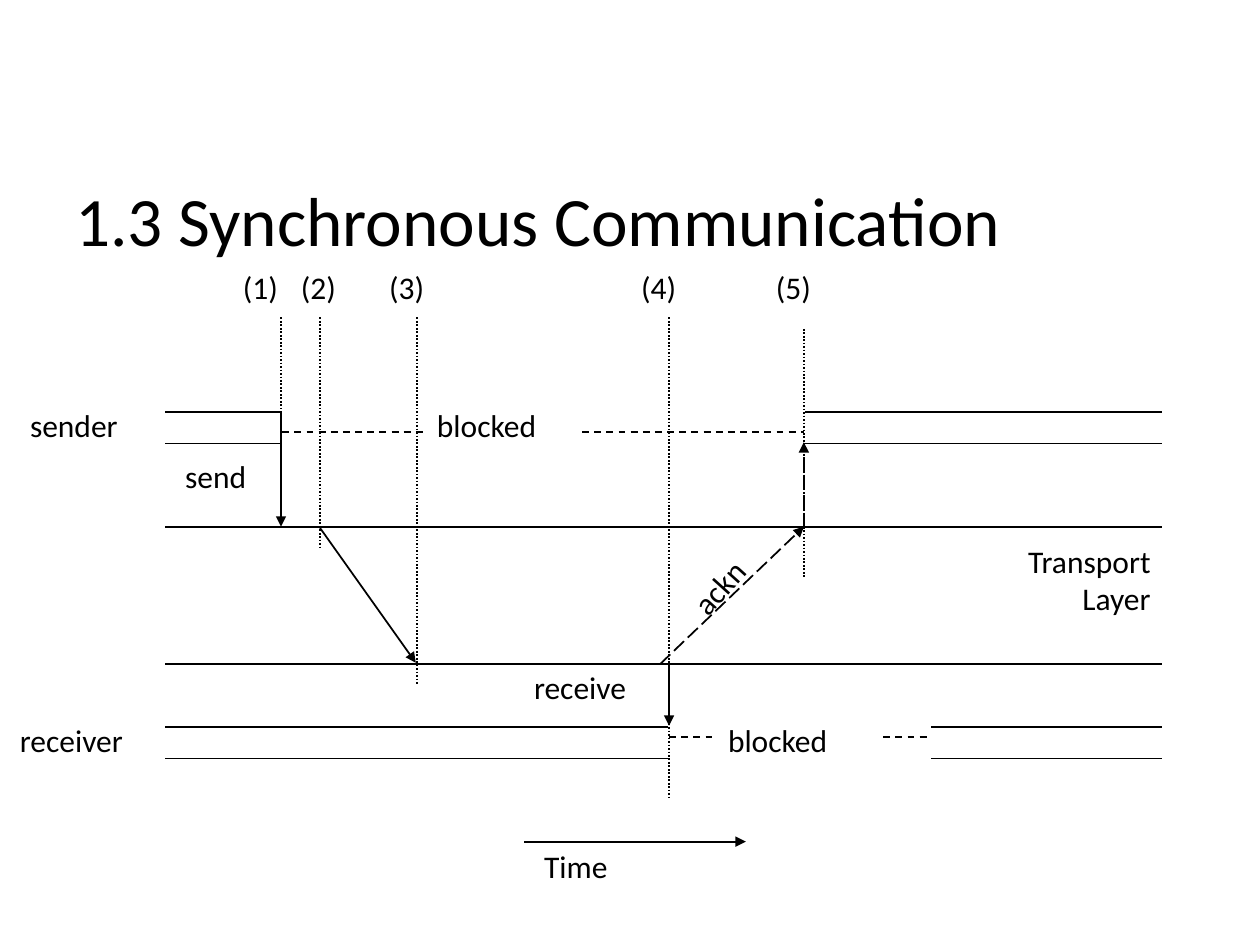
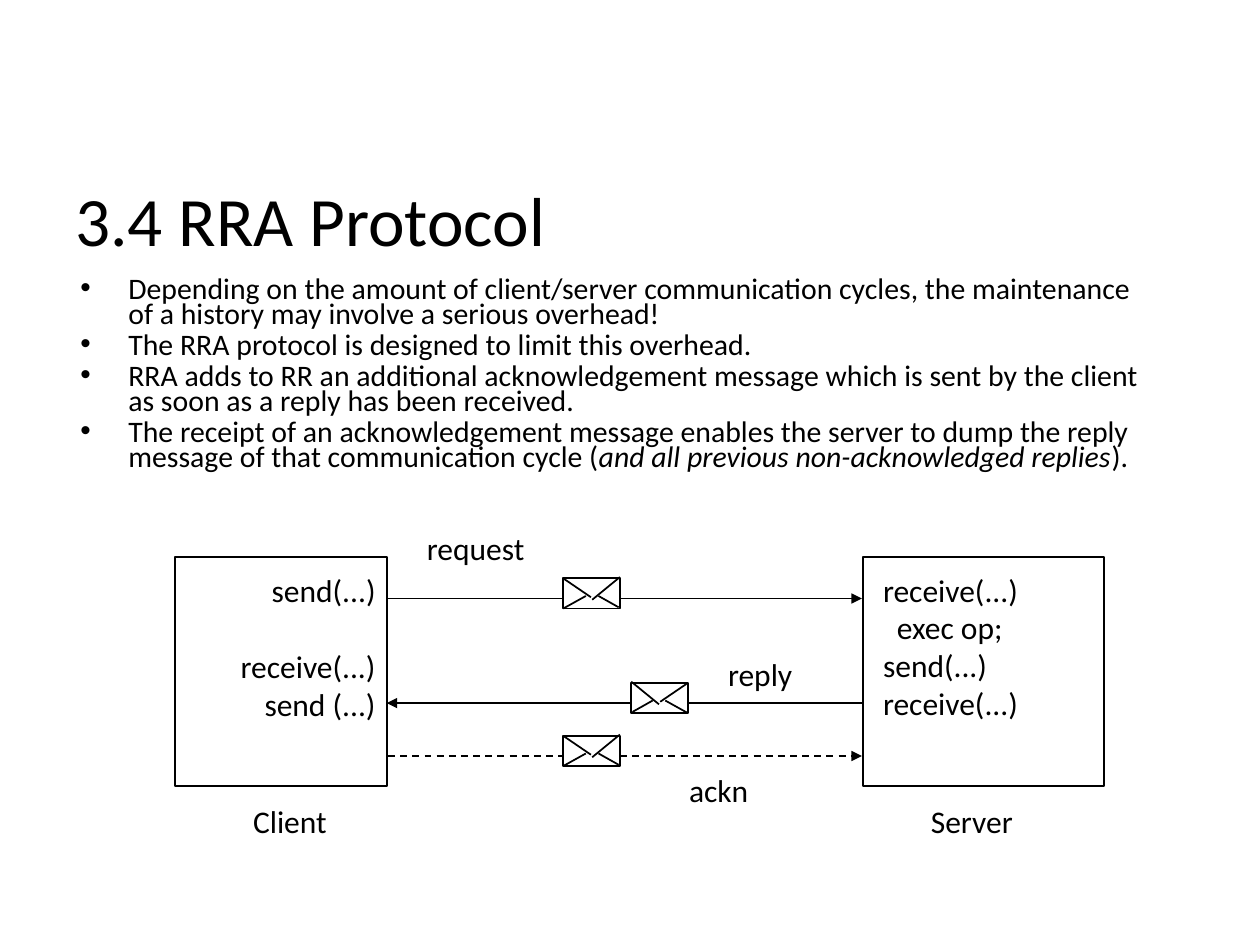
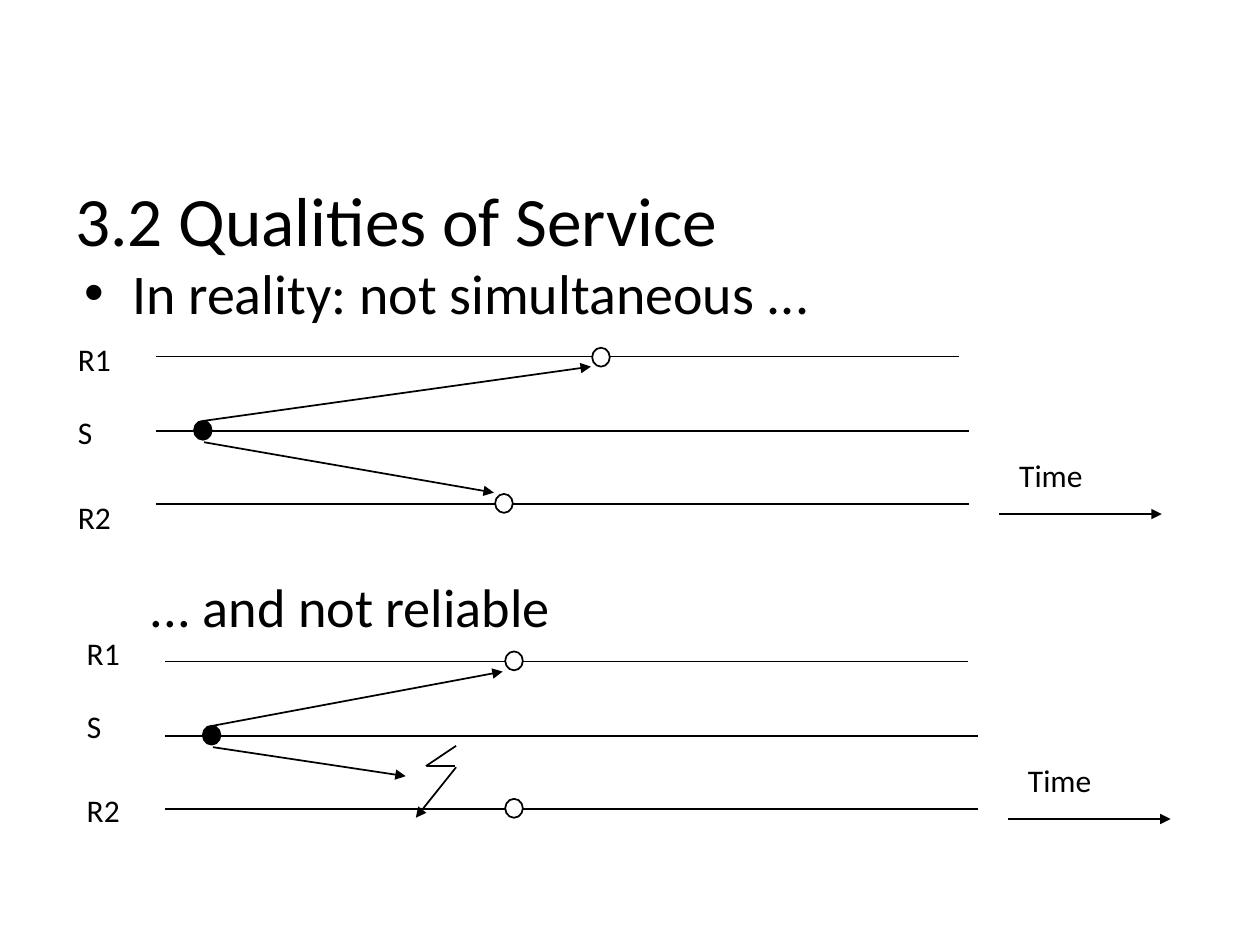
import pptx
import pptx.util
import pptx.dml.color
import pptx.enum.dml
import pptx.enum.shapes
import pptx.enum.text
import pptx.oxml

Inches = pptx.util.Inches
Pt = pptx.util.Pt
Dash = pptx.enum.dml.MSO_LINE
Shape = pptx.enum.shapes.MSO_SHAPE
Align = pptx.enum.text.PP_ALIGN
NAMESPACE = 'xmlns:a="http://schemas.openxmlformats.org/drawingml/2006/main"'

# Shared style
FONT = "Calibri"
BLACK, WHITE = "000000", "FFFFFF"
TITLE_SIZE, LABEL_SIZE = 39.6, 18
LABEL_HEIGHT = 0.4
BULLET_INDENT = 0.38

# Slide 1: text, left, top, width
SYNC_TITLE = "1.3 Synchronous Communication"
SYNC_LABELS = [
    ("sender", 0.14, 3.17, 0.9), ("receiver", 0.06, 5.67, 1.03),
    ("send", 1.37, 3.58, 0.69), ("receive", 4.14, 5.25, 0.94),
    ("blocked", 3.37, 3.17, 1), ("blocked", 5.68, 5.67, 1),
    ("Time", 4.22, 6.67, 0.71),
]
STEP_TOP, STEP_WIDTH = 2.08, 0.48
# label, label left, marker x, marker top, marker bottom
STEPS = [
    ("(1)", 1.83, 2.23, 2.52, 3.34), ("(2)", 2.29, 2.54, 2.52, 4.34),
    ("(3)", 2.99, 3.31, 2.52, 5.43), ("(4)", 4.99, 5.31, 2.52, 6.34),
    ("(5)", 6.06, 6.38, 2.61, 4.59),
]
LANE_LEFT, LANE_RIGHT = 1.31, 9.22
# edge heights, horizontal extents of the bars
BARS = [
    ((3.27, 3.52), ((LANE_LEFT, 2.22), (6.39, LANE_RIGHT))),
    ((5.77, 6.02), ((LANE_LEFT, 5.3), (7.39, LANE_RIGHT))),
    ((4.18, 5.27), ((LANE_LEFT, LANE_RIGHT),)),
]
# y, horizontal extents of the waiting periods
WAITS = [(3.43, ((2.24, 3.38), (4.62, 6.38))),
         (5.85, ((5.31, 5.69), (7.01, 7.38)))]
SYNC_ARROWS = [
    ((2.23, 3.27), (2.23, 4.18), None),
    ((2.54, 4.19), (3.3, 5.26), None),
    ((5.31, 5.27), (5.31, 5.76), None),
    ((5.24, 5.27), (6.38, 4.18), Dash.LONG_DASH),
    ((6.38, 4.19), (6.38, 3.51), Dash.LONG_DASH),
    ((4.16, 6.68), (5.92, 6.68), None),
]

# Slide 2: each bullet is a list of (text, italic) runs
RRA_TITLE = "3.4 RRA Protocol"
RRA_BULLETS = [
    [("Depending on the amount of client/server communication cycles, the "
      "maintenance of a history may involve a serious overhead!", False)],
    [("The RRA protocol is designed to limit this overhead.", False)],
    [("RRA adds to RR an additional acknowledgement message which is sent by "
      "the client as soon as a reply has been received.", False)],
    [("The receipt of an acknowledgement message enables the server to dump the "
      "reply message of that communication cycle (", False),
     ("and all previous non-acknowledged replies", True), (").", False)],
]
HOSTS = [(1.39, 4.42, 1.68, 1.82), (6.85, 4.42, 1.91, 1.82)]
CLIENT_CALLS = ["send(...)", "receive(...)", "send (...)"]
SERVER_CALLS = ["receive(...)", "exec op;", "send(...)", "receive(...)"]
RRA_LABELS = [
    ("Client", 1.91, 6.32, 0.79), ("Server", 7.29, 6.32, 0.86),
    ("request", 3.29, 4.15, 2.63), ("reply", 5.68, 5.15, 1.01),
    ("ackn", 5.37, 6.07, 1.01),
]
ENVELOPE_WIDTH, ENVELOPE_HEIGHT = 0.45, 0.24
ENVELOPE_FOLDS = [((0, 0), (0.22, 0.15)), ((0.23, 0.17), (0.45, -0.01)),
                  ((0.18, 0.14), (0, 0.24)), ((0.28, 0.14), (0.44, 0.23))]
# start x, end x, y, envelope left, dash
MESSAGES = [(3.08, 6.84, 4.75, 4.47, None),
            (6.85, 3.07, 5.58, 5.01, None),
            (3.08, 6.84, 6, 4.47, Dash.DASH)]

# Slide 3: positions inside a diagram count from the left end of its R1 line
QOS_TITLE = "3.2 Qualities of Service"
QOS_BULLET = "In reality: not simultaneous ..."
QOS_SECOND = "... and not reliable"
# label, line y, line length, label top, label width
LANES = [("R1", 0, 6.37, -0.18, 0.46), ("S", 0.59, 6.45, 0.4, 0.32),
         ("R2", 1.17, 6.45, 1.07, 0.46)]
DOT_WIDTH, DOT_HEIGHT = 0.14, 0.15
DIAGRAMS = [
    {"origin": (1.24, 2.83), "label_shift": 0,
     "receivers": [(3.46, -0.07), (2.69, 1.09)],
     "arrow_ends": [(3.45, 0.08), (2.68, 1.08)]},
    {"origin": (1.31, 5.25), "label_shift": -0.09,
     "receivers": [(2.7, -0.08), (2.7, 1.09)],
     "arrow_ends": [(2.68, 0.08), (1.91, 0.91)]},
]
LIGHTNING = [((3.62, 5.92), (3.38, 6.08), False),
             ((3.39, 6.08), (3.61, 6.08), False),
             ((3.62, 6.09), (3.3, 6.49), True)]


def color(value):
    return pptx.dml.color.RGBColor.from_string(value)


def add_drawing_element(parent, markup):
    parent.append(pptx.oxml.parse_xml(f"<a:{markup} {NAMESPACE}/>"))


def add_line(shapes, start, end, dash=None, arrow=False):
    connector = shapes.add_connector(
        pptx.enum.shapes.MSO_CONNECTOR.STRAIGHT,
        *(Inches(length) for length in (*start, *end)))
    connector.line.color.rgb = color(BLACK)
    connector.line.width = Pt(1)
    if dash:
        connector.line.dash_style = dash
    properties = connector._element.spPr
    if arrow:
        add_drawing_element(connector.line._get_or_add_ln(), 'tailEnd type="triangle"')
    add_drawing_element(properties, "effectLst")


def add_outline(shapes, kind, box, fill=None):
    shape = shapes.add_shape(kind, *(Inches(length) for length in box))
    shape.shadow.inherit = False
    shape.line.color.rgb = color(BLACK)
    shape.line.width = Pt(1)
    if fill:
        shape.fill.solid()
        shape.fill.fore_color.rgb = color(fill)
    else:
        shape.fill.background()


def add_text(slide, box, paragraphs, size=LABEL_SIZE, align=Align.LEFT, wrap=True):
    """Each paragraph is a string or a list of (text, italic) runs."""
    text_box = slide.shapes.add_textbox(*(Inches(length) for length in box))
    frame = text_box.text_frame
    frame.word_wrap = wrap
    for index, content in enumerate(paragraphs):
        paragraph = frame.paragraphs[0] if index == 0 else frame.add_paragraph()
        paragraph.alignment = align
        paragraph.font.name = FONT
        paragraph.font.size = Pt(size)
        paragraph.font.color.rgb = color(BLACK)
        runs = [(content, False)] if isinstance(content, str) else content
        for text, italic in runs:
            run = paragraph.add_run()
            run.text = text
            if italic:
                run.font.italic = True
    return text_box


def add_label(slide, text, left, top, width):
    return add_text(slide, (left, top, width, LABEL_HEIGHT), [text], wrap=False)


def indent(paragraph, left, first=0):
    properties = paragraph._p.get_or_add_pPr()
    properties.set("marL", str(Inches(left)))
    properties.set("indent", str(Inches(first)))
    return properties


def add_bullets(slide, box, paragraphs, size, line_spacing=1.0):
    text_box = add_text(slide, box, paragraphs, size)
    for paragraph in text_box.text_frame.paragraphs:
        paragraph.line_spacing = line_spacing
        paragraph.space_before = Pt(size * 0.2)
        properties = indent(paragraph, BULLET_INDENT, -BULLET_INDENT)
        add_drawing_element(properties, 'buFont typeface="Arial"')
        add_drawing_element(properties, 'buChar char="•"')


def add_titled_slide(presentation, title):
    slide = presentation.slides.add_slide(presentation.slide_layouts[6])
    text_box = add_text(slide, (0.5, 1.42, 9, 0.63), [title], TITLE_SIZE)
    text_box.text_frame.vertical_anchor = pptx.enum.text.MSO_ANCHOR.MIDDLE
    return slide


def build_synchronous(presentation):
    slide = add_titled_slide(presentation, SYNC_TITLE)
    shapes = slide.shapes
    for label in SYNC_LABELS:
        add_label(slide, *label)
    add_text(slide, (7.62, 4.25, 1.61, 0.7), ["Transport Layer"], align=Align.RIGHT)
    add_label(slide, "ackn", 5.37, 4.46, 0.67).rotation = 312
    # Process bars and transport layer
    for heights, extents in BARS:
        for y in heights:
            for left, right in extents:
                add_line(shapes, (left, y), (right, y))
    for y, extents in WAITS:
        for left, right in extents:
            add_line(shapes, (left, y), (right, y), Dash.DASH)
    # Numbered moments
    for text, left, x, top, bottom in STEPS:
        add_label(slide, text, left, STEP_TOP, STEP_WIDTH)
        add_line(shapes, (x, top), (x, bottom), Dash.ROUND_DOT)
    for start, end, dash in SYNC_ARROWS:
        add_line(shapes, start, end, dash, arrow=True)


def add_envelope(slide, left, top, mirrored):
    shapes = slide.shapes.add_group_shape().shapes
    add_outline(shapes, Shape.RECTANGLE, (left, top, ENVELOPE_WIDTH, ENVELOPE_HEIGHT))
    for fold in ENVELOPE_FOLDS:
        start, end = ((left + (ENVELOPE_WIDTH - x if mirrored else x), top + y)
                      for x, y in fold)
        add_line(shapes, start, end)


def build_rra(presentation):
    slide = add_titled_slide(presentation, RRA_TITLE)
    add_bullets(slide, (0.54, 2.17, 8.69, 1.75), RRA_BULLETS, 17, 0.7)
    # Client and server
    for box in HOSTS:
        add_outline(slide.shapes, Shape.RECTANGLE, box)
    client = add_text(slide, (1.8, 4.48, 1.28, 1.31), CLIENT_CALLS,
                      align=Align.RIGHT, wrap=False)
    client.text_frame.paragraphs[1].space_before = Pt(22)
    server = add_text(slide, (6.91, 4.48, 1.28, 1.31), SERVER_CALLS, wrap=False)
    indent(server.text_frame.paragraphs[1], 0.11)
    for text, left, top, width in RRA_LABELS:
        add_label(slide, text, left, top, width)
    # Messages, broken by their envelopes
    for start, end, y, left, dash in MESSAGES:
        backward = end < start
        near, far = left, left + ENVELOPE_WIDTH
        if backward:
            near, far = far, near
        add_envelope(slide, left, y - 0.16, backward)
        add_line(slide.shapes, (start, y), (near, y), dash)
        add_line(slide.shapes, (far, y), (end, y), dash, arrow=True)


def add_multicast(slide, origin, label_shift, receivers, arrow_ends):
    shapes = slide.shapes

    def place(x, y):
        return origin[0] + x, origin[1] + y

    for text, y, length, label_top, width in LANES:
        add_line(shapes, place(0, y), place(length, y))
        add_label(slide, text, *place(-0.72, label_top + label_shift), width)
    dots = [(point, WHITE) for point in receivers] + [((0.3, 0.51), BLACK)]
    for point, fill in dots:
        add_outline(shapes, Shape.OVAL, (*place(*point), DOT_WIDTH, DOT_HEIGHT), fill)
    for y, end in zip((0.51, 0.68), arrow_ends):
        add_line(shapes, place(0.38, y), place(*end), arrow=True)
    add_line(shapes, place(6.69, 1.25), place(7.98, 1.25), arrow=True)
    add_label(slide, "Time", *place(6.75, 0.74), 0.71)


def build_qualities(presentation):
    slide = add_titled_slide(presentation, QOS_TITLE)
    add_bullets(slide, (0.57, 2, 8.69, 1), [QOS_BULLET], 32)
    second = add_text(slide, (0.73, 4.5, 8.69, 1), [QOS_SECOND], 31)
    second.text_frame.paragraphs[0].space_before = Pt(6.2)
    indent(second.text_frame.paragraphs[0], 0.36)
    for diagram in DIAGRAMS:
        add_multicast(slide, **diagram)
    # Lost message
    lightning = slide.shapes.add_group_shape().shapes
    for start, end, arrow in LIGHTNING:
        add_line(lightning, start, end, arrow=arrow)


def main():
    presentation = pptx.Presentation()
    presentation.slide_width = Inches(10)
    presentation.slide_height = Inches(7.5)
    build_synchronous(presentation)
    build_rra(presentation)
    build_qualities(presentation)
    presentation.save("out.pptx")


if __name__ == "__main__":
    main()
